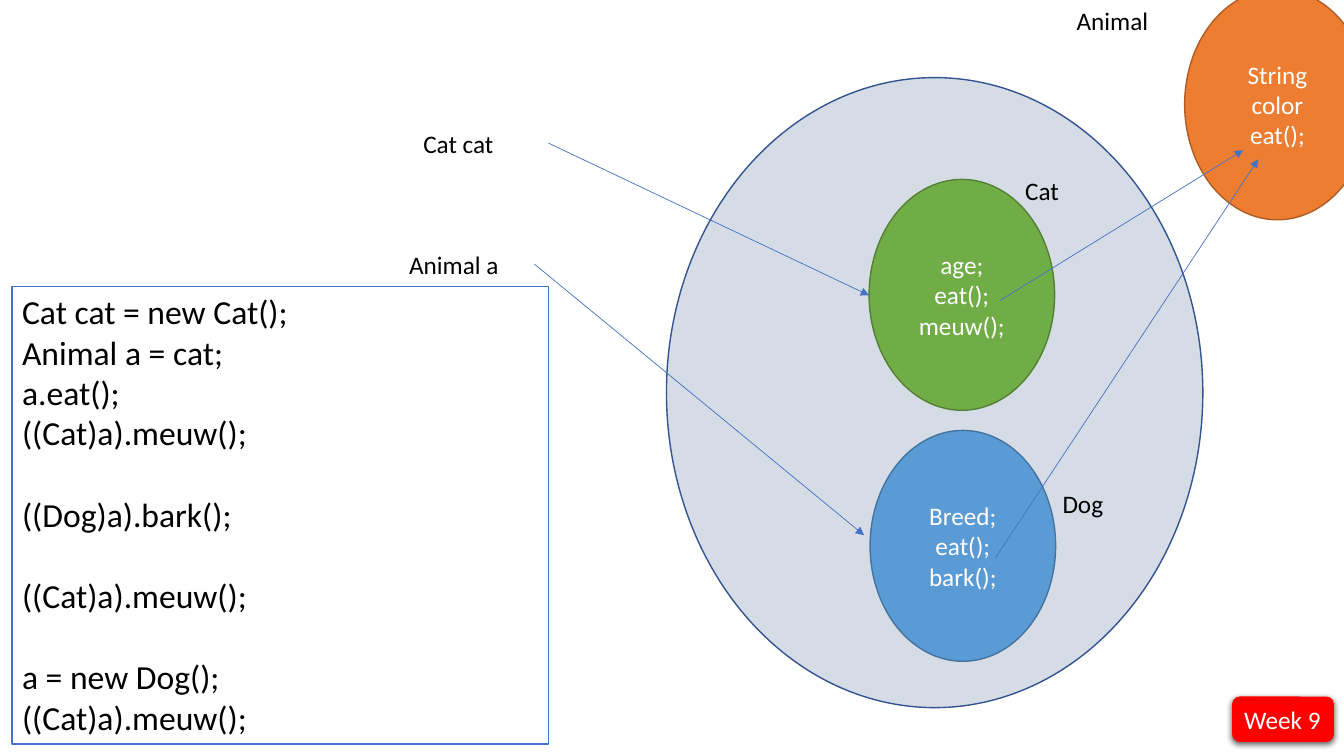
from lxml import etree
from pptx import Presentation
from pptx.dml.color import RGBColor
from pptx.enum.shapes import MSO_CONNECTOR, MSO_SHAPE
from pptx.enum.text import MSO_ANCHOR, PP_ALIGN
from pptx.oxml import parse_xml
from pptx.oxml.ns import nsdecls, qn
from pptx.util import Inches, Pt


def rgb(hex_code):
    return RGBColor.from_string(hex_code)


class ClassDiagram:
    """Style and drawing methods for the current slide."""

    FONT = "Calibri"
    BLUE = "4472C4"
    BLACK = "000000"
    WHITE = "FFFFFF"

    def __init__(self, slide):
        self.shapes = slide.shapes

    def set_text(self, shape, lines, size=18, color=BLACK, align=PP_ALIGN.LEFT,
                 anchor=MSO_ANCHOR.TOP, gaps=()):
        """Fill in the lines; those numbered in gaps have one line of space above."""
        frame = shape.text_frame
        frame.word_wrap = True
        frame.vertical_anchor = anchor
        frame.text = "\n".join(lines)
        for number, paragraph in enumerate(frame.paragraphs):
            paragraph.alignment = align
            paragraph.font.name = self.FONT
            paragraph.font.size = Pt(size)
            paragraph.font.color.rgb = rgb(color)
            if number in gaps:
                paragraph.space_before = Pt(size * 1.22)

    def shape(self, kind, left, top, width, height, fill, line=None):
        shape = self.shapes.add_shape(
            kind, Inches(left), Inches(top), Inches(width), Inches(height))
        shape.shadow.inherit = False
        shape.fill.solid()
        shape.fill.fore_color.rgb = rgb(fill)
        if line:
            shape.line.color.rgb = rgb(line)
            shape.line.width = Pt(1)
        else:
            shape.line.fill.background()
        return shape

    def object_oval(self, left, top, members, fill, line):
        oval = self.shape(MSO_SHAPE.OVAL, left, top, 1.84, 2.29, fill, line)
        self.set_text(oval, members, color=self.WHITE,
                      align=PP_ALIGN.CENTER, anchor=MSO_ANCHOR.MIDDLE)

    def label(self, left, top, width, text):
        box = self.shapes.add_textbox(
            Inches(left), Inches(top), Inches(width), Inches(0.4))
        self.set_text(box, [text])
        return box

    def arrow(self, start, end, source=None):
        """Draw an arrow, joined to the right side of source if given."""
        points = [Inches(value) for value in (*start, *end)]
        arrow = self.shapes.add_connector(MSO_CONNECTOR.STRAIGHT, *points)
        if source is not None:
            arrow.begin_connect(source, 3)
        arrow.line.color.rgb = rgb(self.BLUE)
        arrow.line.width = Pt(0.5)
        properties = arrow.element.spPr
        etree.SubElement(properties.find(qn("a:ln")), qn("a:tailEnd"), type="triangle")
        etree.SubElement(properties, qn("a:effectLst"))

    def badge(self, left, top, width, height, text):
        badge = self.shape(MSO_SHAPE.ROUNDED_RECTANGLE, left, top, width, height, "FF0000")
        self.set_text(badge, [text], color=self.WHITE, anchor=MSO_ANCHOR.MIDDLE)
        badge.text_frame.word_wrap = False
        badge.element.spPr.find(qn("a:effectLst")).append(parse_xml(
            f'<a:outerShdw {nsdecls("a")} blurRad="{Pt(4.5)}" dist="{Pt(1.5)}" '
            'dir="5400000" algn="ctr" rotWithShape="0">'
            '<a:srgbClr val="000000"><a:alpha val="63000"/></a:srgbClr></a:outerShdw>'))


def main():
    prs = Presentation()
    prs.slide_width, prs.slide_height = Inches(13.33), Inches(7.5)
    diagram = ClassDiagram(prs.slides.add_slide(prs.slide_layouts[6]))

    # Memory area with the Cat object
    diagram.shape(MSO_SHAPE.OVAL, 6.61, 0.77, 5.32, 6.25, "D6DCE5", "325491")
    diagram.object_oval(8.62, 1.78, ["age;", "eat();", "meuw();"], "70AD47", "538035")

    # References
    cat_reference = diagram.label(4.1, 1.22, 1.34, "Cat cat")
    diagram.arrow((5.44, 1.43), (8.62, 2.93), cat_reference)
    animal_reference = diagram.label(3.96, 2.42, 1.34, "Animal a")
    diagram.label(10.07, 1.69, 0.77, "Cat")

    # Code listing
    code = diagram.shape(MSO_SHAPE.RECTANGLE, 0.12, 2.84, 5.32, 4.54,
                         diagram.WHITE, diagram.BLUE)
    diagram.set_text(code, [
        "Cat cat = new Cat();",
        "Animal a = cat;",
        "a.eat();",
        "((Cat)a).meuw();",
        "((Dog)a).bark();",
        "((Cat)a).meuw();",
        "a = new Dog();",
        "((Cat)a).meuw();",
    ], size=24, gaps=(4, 5, 6))

    # Animal parent and Dog object
    diagram.object_oval(11.75, -0.11, ["String color", "eat();"], "ED7D31", "AF5C24")
    diagram.label(10.58, 0, 1.25, "Animal")
    diagram.arrow((9.92, 2.98), (12.33, 1.49))
    diagram.object_oval(8.63, 4.27, ["Breed;", "eat();", "bark();"], "5B9BD5", "43739E")
    diagram.label(10.44, 4.8, 0.77, "Dog")
    diagram.arrow((9.87, 5.54), (12.48, 1.58))
    diagram.arrow((5.3, 2.62), (8.57, 5.31), animal_reference)

    # Week marker
    diagram.badge(12.22, 6.91, 1.01, 0.45, "Week 9")

    prs.save("out.pptx")


if __name__ == "__main__":
    main()
